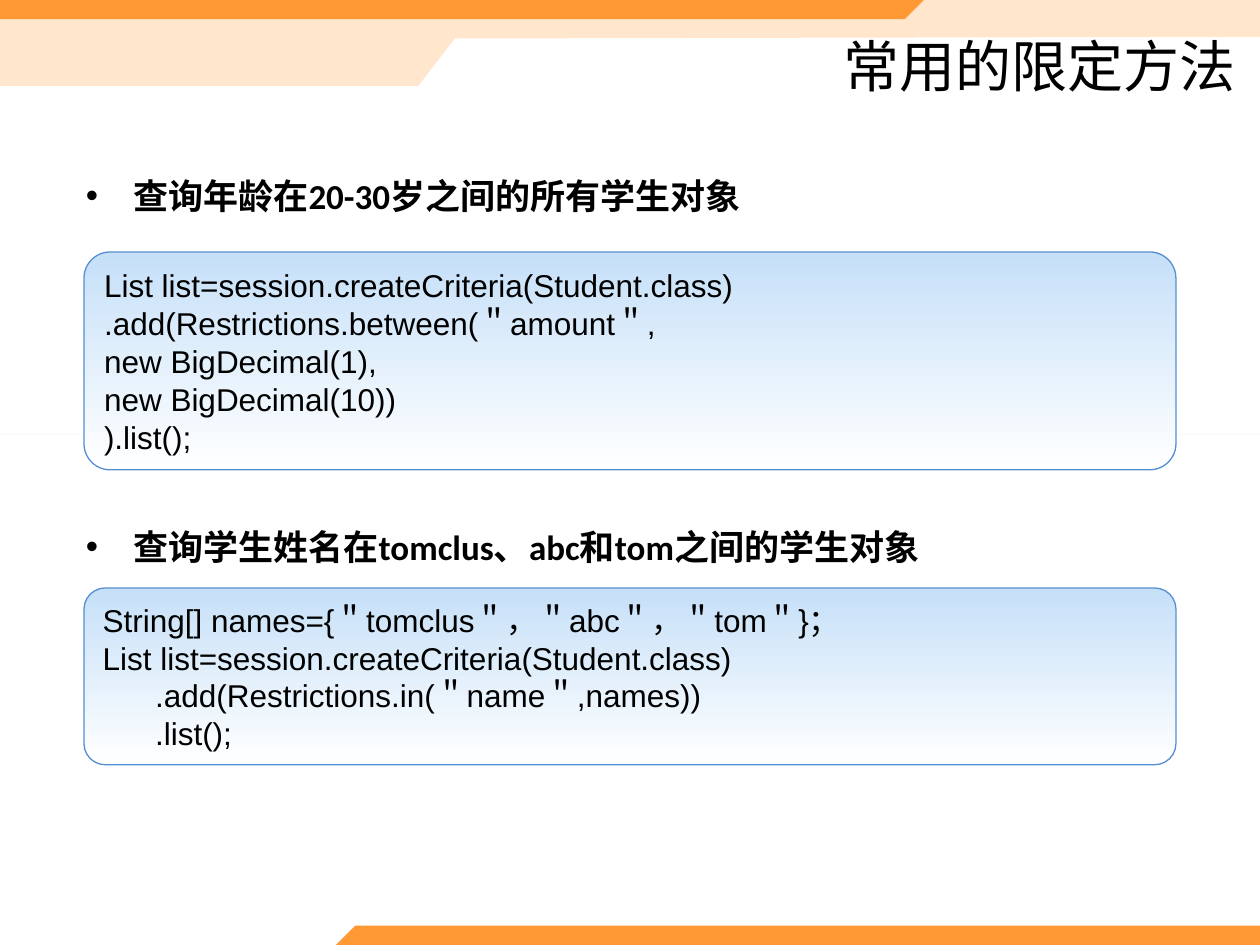
import pptx
import pptx.util
import pptx.dml.color
import pptx.enum.shapes
import pptx.enum.text
import pptx.oxml.ns
import lxml.etree

Pt = pptx.util.Pt
MSO_SHAPE = pptx.enum.shapes.MSO_SHAPE
MSO_ANCHOR = pptx.enum.text.MSO_ANCHOR
PP_ALIGN = pptx.enum.text.PP_ALIGN

COLORS = {
    "orange": "FF9933",
    "peach": "FFE6CD",
    "rule": "D9D9D9",
    "code_top": "C6E0F8",
    "code_bottom": "FFFFFF",
    "code_line": "558ED5",
    "text": "000000",
}
WIDTH, HEIGHT = 720, 540
CODE_INDENT = 30


def color(name):
    return pptx.dml.color.RGBColor.from_string(COLORS[name])


def style_runs(paragraph, font_name, size, bold=False):
    for run in paragraph.runs:
        run.font.name = font_name
        run.font.size = Pt(size)
        run.font.bold = bold
        run.font.color.rgb = color("text")


def fill_plain(shape, fill_name):
    shape.shadow.inherit = False
    shape.fill.solid()
    shape.fill.fore_color.rgb = color(fill_name)
    shape.line.fill.background()


def add_band(slide, box, outline, fill_name):
    """Draw a band whose outline is given relative to its box."""
    left, top = box
    points = [(left + x, top + y) for x, y in outline]
    builder = slide.shapes.build_freeform(*points[0], scale=Pt(1))
    builder.add_line_segments(points[1:], close=True)
    fill_plain(builder.convert_to_shape(), fill_name)


def add_decoration(slide):
    # Header bands
    add_band(slide, (0, 0), [(WIDTH, 0), (0, 0), (0, 49), (239, 49),
                             (260, 21.5), (WIDTH, 21)], "peach")
    add_band(slide, (0, 0), [(528, 0), (517, 11), (0, 11), (0, 0)], "orange")
    # Footer band
    add_band(slide, (192, HEIGHT - 11), [(0, 11), (11, 0), (528, 0), (528, 11)],
             "orange")
    # Hairline across the middle
    hairline = slide.shapes.add_shape(MSO_SHAPE.RECTANGLE, 0, Pt(248.4),
                                      Pt(WIDTH), Pt(0))
    fill_plain(hairline, "rule")


def place_title(slide, box, text):
    title = slide.shapes.title
    title.left, title.top, title.width, title.height = map(Pt, box)
    frame = title.text_frame
    frame.text = text
    frame.vertical_anchor = MSO_ANCHOR.MIDDLE
    frame.paragraphs[0].alignment = PP_ALIGN.RIGHT
    style_runs(frame.paragraphs[0], "Calibri", 32)
    # Bring the title in front of the header bands
    slide.shapes.element.append(title.element)


def add_query_heading(slide, box, text):
    heading = slide.shapes.add_textbox(*map(Pt, box))
    frame = heading.text_frame
    frame.word_wrap = True
    frame.vertical_anchor = MSO_ANCHOR.MIDDLE
    frame.text = text
    paragraph = frame.paragraphs[0]
    style_runs(paragraph, "Calibri", 20, bold=True)
    # Hanging bullet
    properties = paragraph._p.get_or_add_pPr()
    properties.set("marL", str(Pt(27)))
    properties.set("indent", str(-Pt(27)))
    for tag, attribute, value in (("a:buFont", "typeface", "Arial"),
                                  ("a:buChar", "char", "•")):
        lxml.etree.SubElement(properties, pptx.oxml.ns.qn(tag)).set(attribute, value)


def add_code_box(slide, box, code_lines):
    """Draw a code box; code_lines holds (indent level, text) pairs."""
    panel = slide.shapes.add_shape(MSO_SHAPE.ROUNDED_RECTANGLE, *map(Pt, box))
    panel.adjustments[0] = 0.12
    panel.shadow.inherit = False
    panel.fill.gradient()
    panel.fill.gradient_angle = 270
    for stop, name, position in zip(panel.fill.gradient_stops,
                                    ("code_top", "code_bottom"), (0, 1)):
        stop.color.rgb = color(name)
        stop.position = position
    panel.line.color.rgb = color("code_line")
    panel.line.width = Pt(0.75)

    frame = panel.text_frame
    frame.word_wrap = True
    frame.vertical_anchor = MSO_ANCHOR.MIDDLE
    frame.text = "\n".join(text for _, text in code_lines)
    for paragraph, (level, _) in zip(frame.paragraphs, code_lines):
        paragraph.alignment = PP_ALIGN.LEFT
        style_runs(paragraph, "Arial", 18)
        if level:
            paragraph._p.get_or_add_pPr().set("marL", str(Pt(level * CODE_INDENT)))


QUERIES = [
    # heading, heading top, code top, code height, code lines
    ("查询年龄在20-30岁之间的所有学生对象", 94, 144, 124.5, [
        (0, "List list=session.createCriteria(Student.class)"),
        (0, ".add(Restrictions.between(＂amount＂,"),
        (0, "new BigDecimal(1),"),
        (0, "new BigDecimal(10))"),
        (0, ").list();"),
    ]),
    ("查询学生姓名在tomclus、abc和tom之间的学生对象", 294, 336, 101, [
        (0, "String[] names={＂tomclus＂，＂abc＂，＂tom＂}；"),
        (0, "List list=session.createCriteria(Student.class)"),
        (1, ".add(Restrictions.in(＂name＂,names))"),
        (1, ".list();"),
    ]),
]


def main():
    presentation = pptx.Presentation()
    presentation.slide_width, presentation.slide_height = Pt(WIDTH), Pt(HEIGHT)
    slide = presentation.slides.add_slide(presentation.slide_layouts[5])

    add_decoration(slide)
    place_title(slide, (292, 20, 421.5, 34), "常用的限定方法")
    for heading, heading_top, code_top, code_height, code_lines in QUERIES:
        add_query_heading(slide, (42, heading_top, 654, 36), heading)
        add_code_box(slide, (48, code_top, 624, code_height), code_lines)

    presentation.save("out.pptx")


if __name__ == "__main__":
    main()
